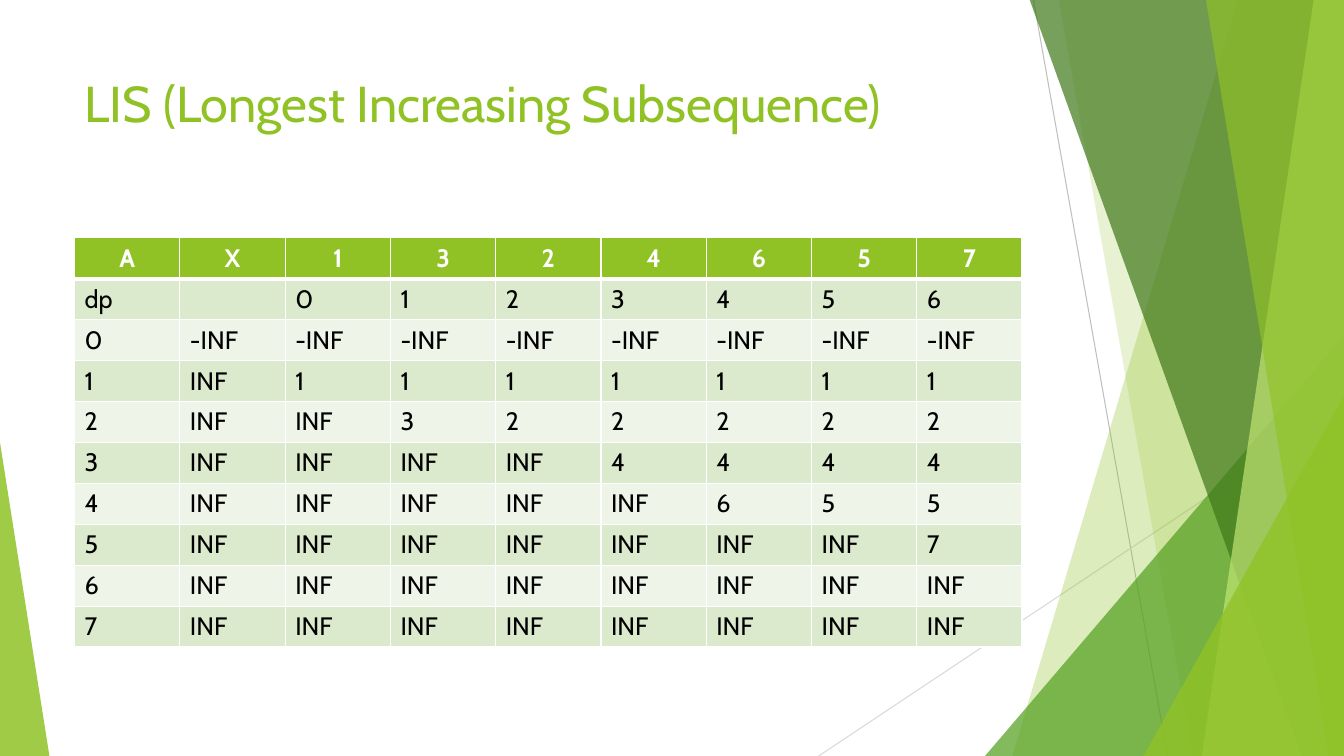
import pptx
import pptx.dml.color
import pptx.enum.shapes
import pptx.enum.text
import pptx.oxml.ns
import pptx.oxml.xmlchemy
import pptx.util

PX = 9144  # 100 px to the inch
SLIDE_WIDTH, SLIDE_HEIGHT = 1333, 750
FONT = "Cabin"
COLOURS = {
    "green": "90C226",
    "leaf": "54A021",
    "forest": "3F7819",
    "lime": "C0E474",
    "steep line": "BFBFBF",
    "shallow line": "D9D9D9",
    "odd row": "DBE9CD",
    "even row": "EEF4E8",
    "white": "FFFFFF",
    "black": "000000",
}
HEADER = ["A", "X", "1", "3", "2", "4", "6", "5", "7"]
DP_ROWS = [
    ["dp", "", "0", "1", "2", "3", "4", "5", "6"],
    ["0"] + ["-INF"] * 8,
    ["1", "INF"] + ["1"] * 7,
    ["2", "INF", "INF", "3"] + ["2"] * 5,
    ["3"] + ["INF"] * 4 + ["4"] * 4,
    ["4"] + ["INF"] * 5 + ["6", "5", "5"],
    ["5"] + ["INF"] * 7 + ["7"],
    ["6"] + ["INF"] * 8,
    ["7"] + ["INF"] * 8,
]


def px(*lengths):
    return [pptx.util.Emu(round(length * PX)) for length in lengths]


def rgb(name):
    return pptx.dml.color.RGBColor.from_string(COLOURS[name])


def add_element(parent, tag, **attributes):
    element = pptx.oxml.xmlchemy.OxmlElement(tag)
    for name, value in attributes.items():
        element.set(name, str(value))
    parent.append(element)
    return element


def format_font(font, colour, **values):
    for name, value in {"name": FONT, **values}.items():
        setattr(font, name, value)
    font.color.rgb = rgb(colour)


def paint(shape, colour, opacity):
    """Fill a shape with a see-through colour, without outline or shadow."""
    shape.shadow.inherit = False
    shape.line.fill.background()
    shape.fill.solid()
    shape.fill.fore_color.rgb = rgb(colour)
    solid_fill = shape._element.spPr.find(pptx.oxml.ns.qn("a:solidFill"))
    add_element(solid_fill[0], "a:alpha", val=opacity * 1000)


def draw_line(slide, colour, start, end):
    line = slide.shapes.add_connector(
        pptx.enum.shapes.MSO_CONNECTOR.STRAIGHT, *px(*start, *end))
    line.line.color.rgb = rgb(colour)
    line.line.width = pptx.util.Pt(0.75)
    add_element(line._element.spPr, "a:effectLst")


def draw_corner(slide, box, apex, colour, opacity):
    """Triangle filling the box; apex is 0 at its left edge, 1 at its right."""
    corner = slide.shapes.add_shape(
        pptx.enum.shapes.MSO_SHAPE.ISOSCELES_TRIANGLE, *px(*box))
    corner.adjustments[0] = apex
    paint(corner, colour, opacity)


def draw_facet(slide, box, top_x, bottom_x, colour, opacity):
    """Band from a slanted left side to the right edge of the box."""
    left, top, width, height = box
    right, bottom = left + width, top + height
    outline = slide.shapes.build_freeform(left + top_x, top - 1, scale=PX)
    outline.add_line_segments(
        [(right, top - 1), (right, bottom), (left + bottom_x, bottom)])
    paint(outline.convert_to_shape(), colour, opacity)


def draw_right_facets(slide, box):
    left, top, width, height = box
    right, bottom = left + width, top + height
    draw_line(slide, "steep line", (left + 213, top), (left + 346, bottom))
    draw_line(slide, "shallow line", (right, top + 403), (left, bottom))

    def right_corner(x, y, colour, opacity):
        corner_box = (left + x, top + y, width - x, height - y)
        draw_corner(slide, corner_box, 1, colour, opacity)

    draw_facet(slide, box, 416, 192, "green", 30)
    draw_facet(slide, box, 238, 371, "green", 20)
    right_corner(165, 333, "leaf", 72)
    draw_facet(slide, box, 209, 479, "forest", 70)
    draw_facet(slide, box, 491, 380, "lime", 70)
    draw_facet(slide, box, 384, 506, "green", 65)
    right_corner(322, 393, "green", 80)


def write_title(slide, box, wording):
    title = slide.shapes.title
    slide.shapes._spTree.append(title._element)  # in front of the facets
    title.left, title.top, title.width, title.height = px(*box)
    frame = title.text_frame
    frame.text = wording
    settings = {
        "word_wrap": True,
        "auto_size": pptx.enum.text.MSO_AUTO_SIZE.NONE,
        "vertical_anchor": pptx.enum.text.MSO_ANCHOR.TOP,
    }
    for name, value in settings.items():
        setattr(frame, name, value)
    paragraph = frame.paragraphs[0]
    paragraph.alignment = pptx.enum.text.PP_ALIGN.LEFT
    format_font(paragraph.runs[0].font, "green", size=pptx.util.Pt(36))


def border_cell(cell, widths):
    """White borders; widths maps each side (L, R, T, B) to points."""
    for side, width in widths.items():
        border = add_element(cell._tc.get_or_add_tcPr(), "a:ln" + side,
                             w=pptx.util.Pt(width))
        fill = add_element(border, "a:solidFill")
        add_element(fill, "a:srgbClr", val=COLOURS["white"])


def draw_dp_table(slide, box):
    rows = [HEADER] + DP_ROWS
    table = slide.shapes.add_table(len(rows), len(HEADER), *px(*box)).table
    for r, row in enumerate(rows):
        is_header = r == 0
        background = "green" if is_header else "odd row" if r % 2 else "even row"
        borders = {"L": 1, "R": 1, "T": 3 if r == 1 else 1,
                   "B": 3 if is_header else 1}
        for c, value in enumerate(row):
            cell = table.cell(r, c)
            border_cell(cell, borders)
            cell.fill.solid()
            cell.fill.fore_color.rgb = rgb(background)
            cell.text = value
            paragraph = cell.text_frame.paragraphs[0]
            if is_header:
                paragraph.alignment = pptx.enum.text.PP_ALIGN.CENTER
            for run in paragraph.runs:
                format_font(run.font, "white" if is_header else "black",
                            size=pptx.util.Pt(18), bold=is_header)


def main():
    deck = pptx.Presentation()
    deck.slide_width, deck.slide_height = px(SLIDE_WIDTH, SLIDE_HEIGHT)
    slide = deck.slides.add_slide(deck.slide_layouts[5])
    draw_right_facets(slide, (812, 0, SLIDE_WIDTH - 812, SLIDE_HEIGHT))
    draw_corner(slide, (0, 439, 49, SLIDE_HEIGHT - 439), 0, "green", 85)
    write_title(slide, (74, 67, 940, 144), "LIS (Longest Increasing Subsequence)")
    draw_dp_table(slide, (74, 236, 940, 406))
    deck.save("out.pptx")


if __name__ == "__main__":
    main()
